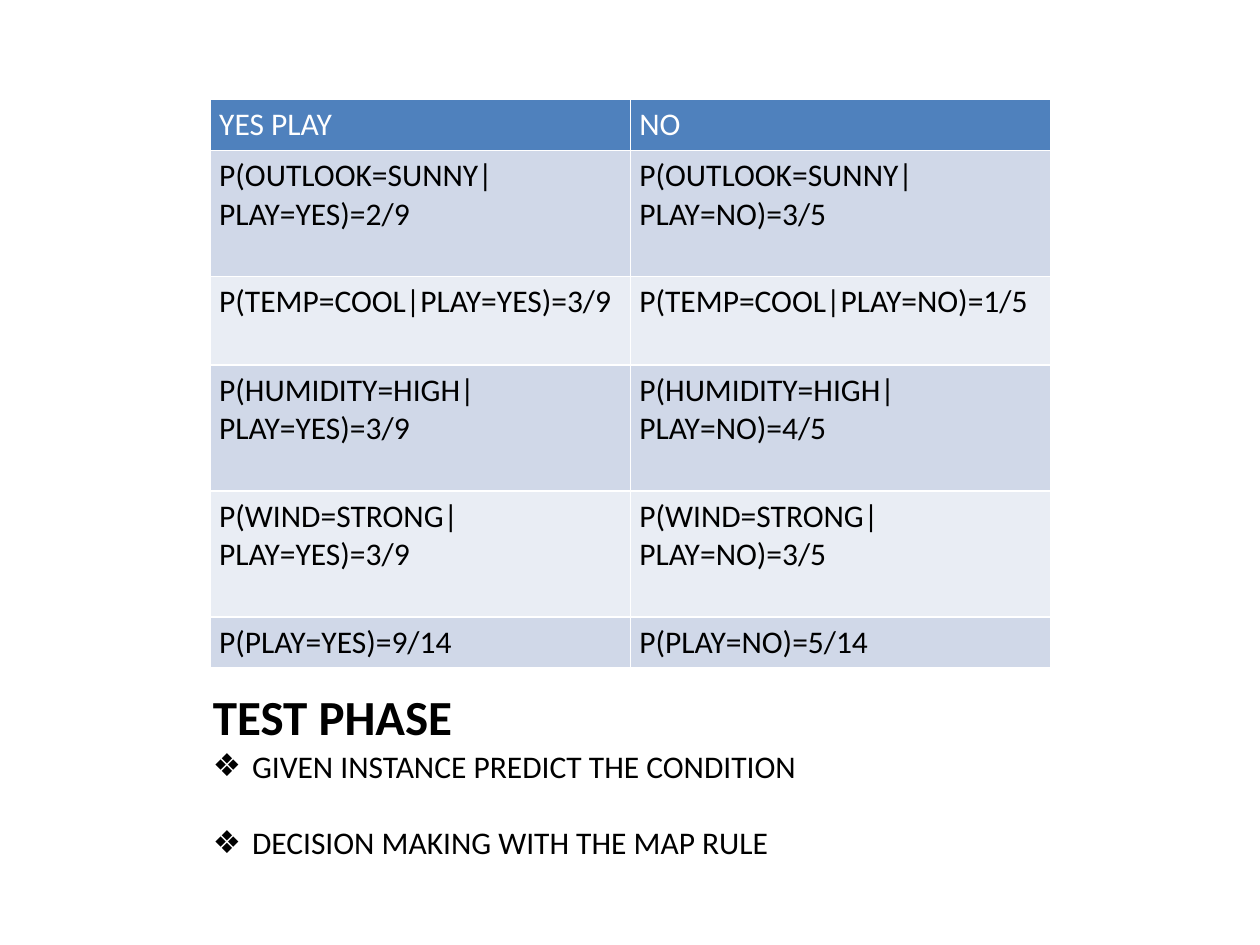
from lxml.etree import SubElement
from pptx import Presentation
from pptx.dml.color import RGBColor
from pptx.enum.text import MSO_ANCHOR, MSO_AUTO_SIZE, PP_ALIGN
from pptx.oxml.ns import qn
from pptx.util import Inches, Pt

WHITE = RGBColor(0xFF, 0xFF, 0xFF)
BLACK = RGBColor(0x00, 0x00, 0x00)
HEADER_BLUE = RGBColor(0x4F, 0x81, 0xBD)
BANDS = RGBColor(0xD0, 0xD8, 0xE8), RGBColor(0xE9, 0xED, 0xF4)
FONT = "Calibri"

HEADINGS = "YES PLAY", "NO"
OUTCOMES = "YES", "NO"
# Condition, value for each outcome, row height in inches
LIKELIHOODS = [
    ("OUTLOOK=SUNNY", ("2/9", "3/5"), 1.0),
    ("TEMP=COOL", ("3/9", "1/5"), 0.7),
    ("HUMIDITY=HIGH", ("3/9", "4/5"), 1.0),
    ("WIND=STRONG", ("3/9", "3/5"), 1.0),
]
PRIORS = "9/14", "5/14"
EDGE_ROW = 0.405
STEPS = "GIVEN INSTANCE PREDICT THE CONDITION", "DECISION MAKING WITH THE MAP RULE"


def add_text(paragraph, words, size=18, color=BLACK, bold=False):
    """Add one formatted run to a paragraph."""
    run = paragraph.add_run()
    run.text = words
    font = run.font
    font.name, font.size, font.bold = FONT, Pt(size), bold
    font.color.rgb = color


def probability_rows():
    """Return the texts and height of every table row."""
    rows = [(HEADINGS, EDGE_ROW)]
    for condition, values, height in LIKELIHOODS:
        texts = [f"P({condition}|PLAY={outcome})={value}"
                 for outcome, value in zip(OUTCOMES, values)]
        rows.append((texts, height))
    priors = [f"P(PLAY={outcome})={value}" for outcome, value in zip(OUTCOMES, PRIORS)]
    return rows + [(priors, EDGE_ROW)]


def add_probabilities(slide, left, top, width):
    """Draw the probability table in equal columns across the given width."""
    rows = probability_rows()
    total = sum(height for _, height in rows)
    table = slide.shapes.add_table(len(rows), len(HEADINGS), Inches(left), Inches(top),
                                   Inches(width), Inches(total)).table
    for index, (texts, height) in enumerate(rows):
        table.rows[index].height = Inches(height)
        is_header = index == 0
        for column, words in enumerate(texts):
            cell = table.cell(index, column)
            cell.margin_left = cell.margin_right = Inches(0.07)
            cell.fill.solid()
            cell.fill.fore_color.rgb = HEADER_BLUE if is_header else BANDS[(index - 1) % 2]
            add_text(cell.text_frame.paragraphs[0], words,
                     color=WHITE if is_header else BLACK)


def place(placeholder, left, top, width, height, top_inset):
    """Move a placeholder and return its prepared text frame."""
    placeholder.left, placeholder.top = Inches(left), Inches(top)
    placeholder.width, placeholder.height = Inches(width), Inches(height)
    frame = placeholder.text_frame
    frame.auto_size = MSO_AUTO_SIZE.NONE
    frame.vertical_anchor = MSO_ANCHOR.TOP
    frame.margin_top, frame.margin_bottom = Inches(top_inset), 0
    return frame


def add_bullet(paragraph):
    """Give a paragraph a hanging diamond bullet."""
    properties = paragraph._p.get_or_add_pPr()
    properties.set("marL", str(Inches(0.31)))
    properties.set("indent", str(-Inches(0.31)))
    SubElement(properties, qn("a:buFont"), typeface="Arial")
    SubElement(properties, qn("a:buChar"), char="❖")


def add_test_phase(slide, left, top, width, height):
    """Set the heading and its list of steps one above the other."""
    heading_height = 0.53
    heading = place(slide.shapes.title, left, top, width, heading_height, 0.05)
    heading.paragraphs[0].alignment = PP_ALIGN.LEFT
    add_text(heading.paragraphs[0], "TEST PHASE", size=28, bold=True)

    steps = place(slide.placeholders[1], left, top + heading_height,
                  width, height - heading_height, 0)
    for index, step in enumerate(STEPS):
        paragraph = steps.add_paragraph() if index else steps.paragraphs[0]
        paragraph.space_before = Pt(22 if index else 0)
        add_bullet(paragraph)
        add_text(paragraph, step)


deck = Presentation()
deck.slide_width, deck.slide_height = Inches(10), Inches(7.5)
slide = deck.slides.add_slide(deck.slide_layouts[1])
add_probabilities(slide, 1.67, 0.79, 6.67)
add_test_phase(slide, 1.59, 5.4, 4.88, 1.48)
deck.save("out.pptx")
